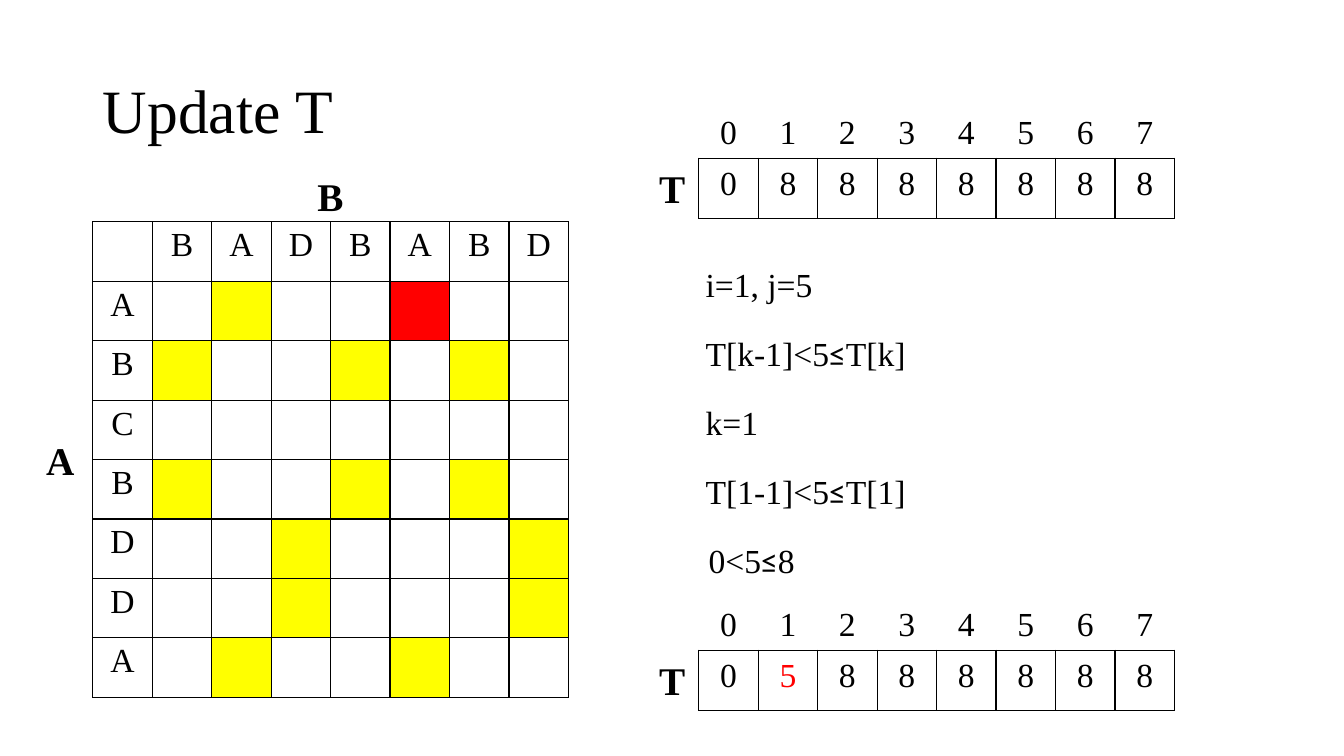
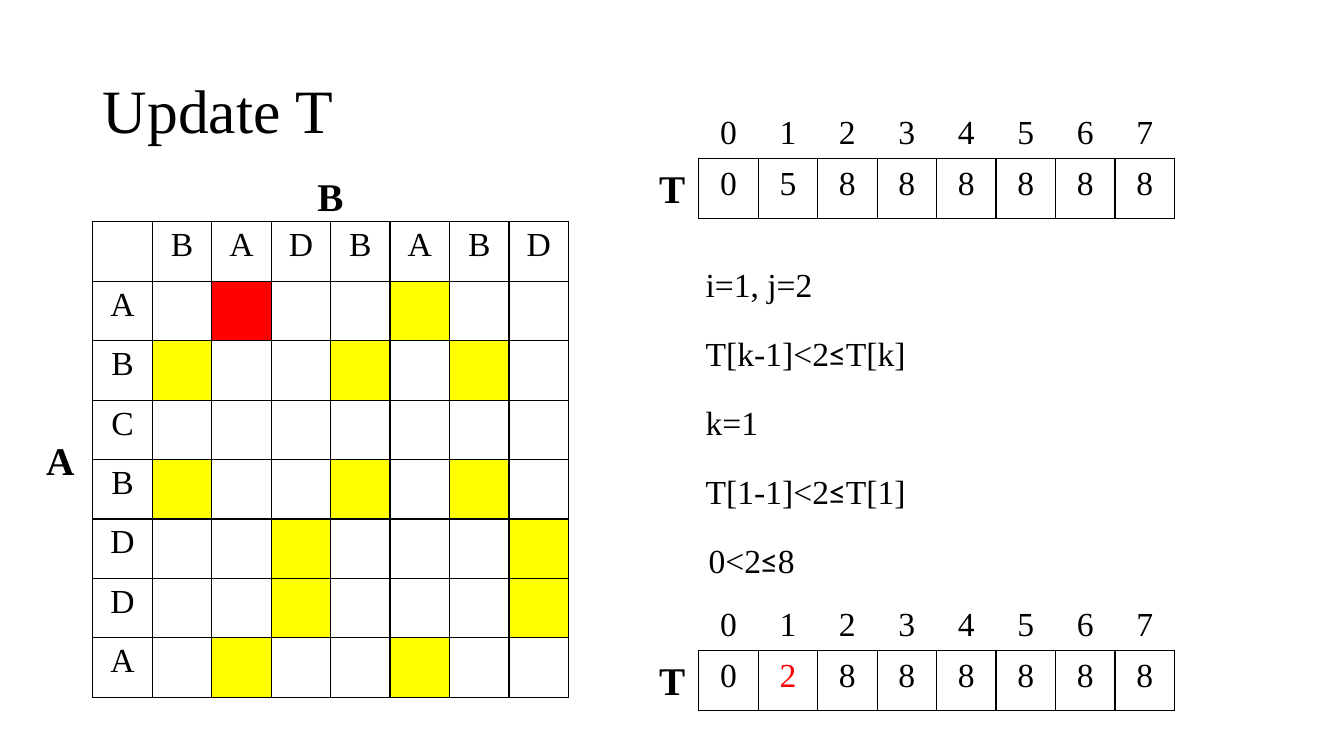
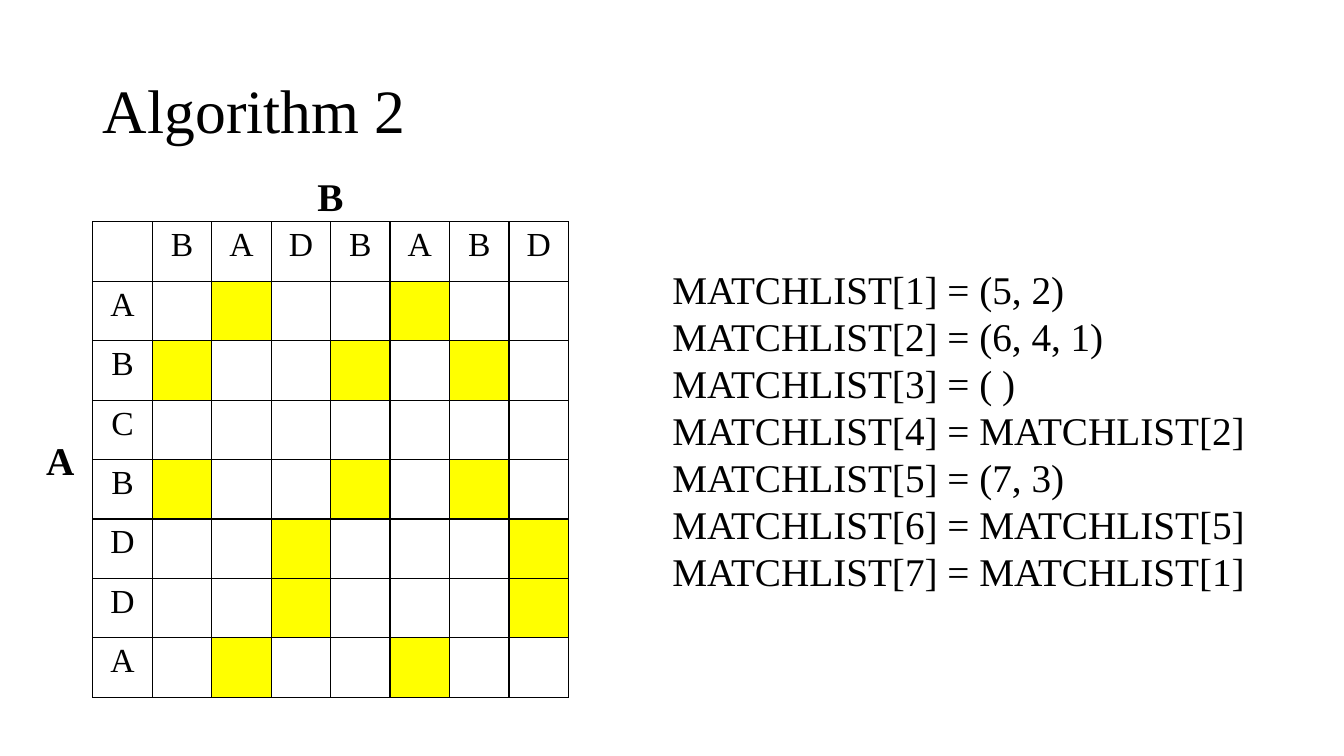
from dataclasses import dataclass
from typing import NamedTuple, Optional

from lxml import etree
from pptx import Presentation
from pptx.dml.color import RGBColor
from pptx.enum.text import MSO_ANCHOR, MSO_AUTO_SIZE, PP_ALIGN
from pptx.oxml.ns import qn
from pptx.util import Emu, Pt

LEFT, CENTER = PP_ALIGN.LEFT, PP_ALIGN.CENTER
MIDDLE = MSO_ANCHOR.MIDDLE
GROW, FIXED = MSO_AUTO_SIZE.SHAPE_TO_FIT_TEXT, MSO_AUTO_SIZE.NONE
SCALE = 9144  # EMU in one px, 100 px to the inch
TITLE_ONLY = 5


def px(n: int) -> Emu:
    return Emu(n * SCALE)


# Look shared by all slides
@dataclass(frozen=True)
class Theme:
    font: str = "Times New Roman"
    math: str = "Calibri"
    ink: str = "000000"
    match: str = "FFFF00"
    focus: str = "FF0000"
    title: int = 44
    head: int = 28
    body: int = 24
    line: int = 1


THEME = Theme()


class Box(NamedTuple):
    x: int
    y: int
    w: int
    h: int


class Cell(NamedTuple):
    text: str = ""
    ink: str = THEME.ink
    fill: Optional[str] = None


class Pad(NamedTuple):
    x: int
    y: int


class Label(NamedTuple):
    text: str
    box: Box


@dataclass(frozen=True)
class Step:
    row: int
    col: int
    slot: int
    old: tuple[int, ...]


# Contents
WORD_A, WORD_B = "ABCBDDA", "BADBABD"
SIDE = 59
COUNT = 8
GRID = Box(92, 220, COUNT * SIDE, COUNT * SIDE)
ROW = Box(693, 0, COUNT * SIDE, 60)
TITLE = Box(92, 40, 1150, 145)
LIST = Box(657, 258, 640, 340)
GRID_PAD, ROW_PAD = Pad(10, 5), Pad(15, 7)
NAMES = (Label("A", Box(36, 428, 49, 57)), Label("B", Box(305, 166, 46, 57)))
STEPS = (
    Step(1, 5, 1, (0,) + (8,) * 7),
    Step(1, 2, 1, (0, 5) + (8,) * 6),
)
MATCHES = ("(5, 2)", "(6, 4, 1)", "( )", "MATCHLIST[2]",
           "(7, 3)", "MATCHLIST[5]", "MATCHLIST[1]")


# Text
def add_run(para, text: str, size: int, ink: str = THEME.ink,
            bold: bool = False, font: str = THEME.font) -> None:
    run = para.add_run()
    run.text = text
    run.font.name = font
    run.font.size = Pt(size)
    run.font.bold = bold
    run.font.color.rgb = RGBColor.from_string(ink)


def add_text(slide, box: Box, lines: list[str], size: int,
             bold: bool = False, wrap: bool = False) -> None:
    frame = slide.shapes.add_textbox(*map(px, box)).text_frame
    frame.word_wrap = wrap
    frame.auto_size = GROW
    for n, line in enumerate(lines):
        para = frame.add_paragraph() if n else frame.paragraphs[0]
        for part in line.partition("≤"):
            if part:
                font = THEME.math if part == "≤" else THEME.font
                add_run(para, part, size, bold=bold, font=font)


def add_label(slide, label: Label) -> None:
    add_text(slide, label.box, [label.text], THEME.head, bold=True)


def add_slide(deck, title: str):
    slide = deck.slides.add_slide(deck.slide_layouts[TITLE_ONLY])
    shape = slide.shapes.title
    shape.left, shape.top, shape.width, shape.height = map(px, TITLE)
    frame = shape.text_frame
    frame.auto_size = FIXED
    frame.vertical_anchor = MIDDLE
    para = frame.paragraphs[0]
    para.alignment = LEFT
    para.line_spacing = 0.9
    add_run(para, title, THEME.title)
    return slide


# Tables
def set_border(cell, shown: bool) -> None:
    props = cell._tc.get_or_add_tcPr()
    for side in ("a:lnL", "a:lnR", "a:lnT", "a:lnB"):
        line = etree.SubElement(props, qn(side), w=str(Pt(THEME.line)))
        if shown:
            fill = etree.SubElement(line, qn("a:solidFill"))
            etree.SubElement(fill, qn("a:srgbClr"), val=THEME.ink)
        else:
            etree.SubElement(line, qn("a:noFill"))


def add_grid(slide, box: Box, rows: list[list[Cell]], pad: Pad,
             lined: bool = True) -> None:
    table = slide.shapes.add_table(len(rows), len(rows[0]), *map(px, box)).table
    table.first_row = table.horz_banding = False
    for r, row in enumerate(rows):
        for c, item in enumerate(row):
            cell = table.cell(r, c)
            cell.margin_left = cell.margin_right = px(pad.x)
            cell.margin_top = cell.margin_bottom = px(pad.y)
            set_border(cell, lined)
            if item.fill:
                cell.fill.solid()
                cell.fill.fore_color.rgb = RGBColor.from_string(item.fill)
            else:
                cell.fill.background()
            if item.text:
                para = cell.text_frame.paragraphs[0]
                para.alignment = CENTER
                add_run(para, item.text, THEME.body, item.ink)


def add_matrix(slide, focus: Optional[tuple[int, int]] = None) -> None:
    rows = [[Cell()] + [Cell(b) for b in WORD_B]]
    for i, a in enumerate(WORD_A, 1):
        row = [Cell(a)]
        for j, b in enumerate(WORD_B, 1):
            tint = THEME.focus if (i, j) == focus else THEME.match
            row.append(Cell(fill=tint if a == b else None))
        rows.append(row)
    add_grid(slide, GRID, rows, GRID_PAD)
    for name in NAMES:
        add_label(slide, name)


def add_array(slide, top: int, vals: tuple[int, ...],
              hot: Optional[int] = None) -> None:
    heads = [Cell(str(n)) for n in range(COUNT)]
    cells = [Cell(str(v), THEME.focus if n == hot else THEME.ink)
             for n, v in enumerate(vals)]
    add_grid(slide, ROW._replace(y=top), [heads], ROW_PAD, lined=False)
    add_grid(slide, ROW._replace(y=top + 50), [cells], ROW_PAD)
    add_label(slide, Label("T", Box(644, top + 51, 46, 57)))


# Slides
def add_step(deck, step: Step) -> None:
    slide = add_slide(deck, "Update T")
    add_matrix(slide, (step.row, step.col))
    add_array(slide, 107, step.old)
    j, k = step.col, step.slot
    lines = (
        (f"i={step.row}, j={j}", 690, 127),
        (f"T[k-1]<{j}≤T[k]", 690, 220),
        (f"k={k}", 690, 73),
        (f"T[{k}-1]<{j}≤T[{k}]", 690, 229),
        (f"0<{j}≤8", 693, 106),
    )
    for n, (text, left, width) in enumerate(lines):
        add_text(slide, Box(left, 257 + 137 * n // 2, width, 50), [text], THEME.body)
    add_array(slide, 595, step.old[:k] + (j,) + step.old[k + 1:], hot=k)


def add_list(deck) -> None:
    slide = add_slide(deck, "Algorithm 2")
    add_matrix(slide)
    lines = [f"MATCHLIST[{n}] = {m}" for n, m in enumerate(MATCHES, 1)]
    add_text(slide, LIST, lines, THEME.head, wrap=True)


def main() -> None:
    deck = Presentation()
    deck.slide_width, deck.slide_height = px(1333), px(750)
    for step in STEPS:
        add_step(deck, step)
    add_list(deck)
    deck.save("out.pptx")


if __name__ == "__main__":
    main()
